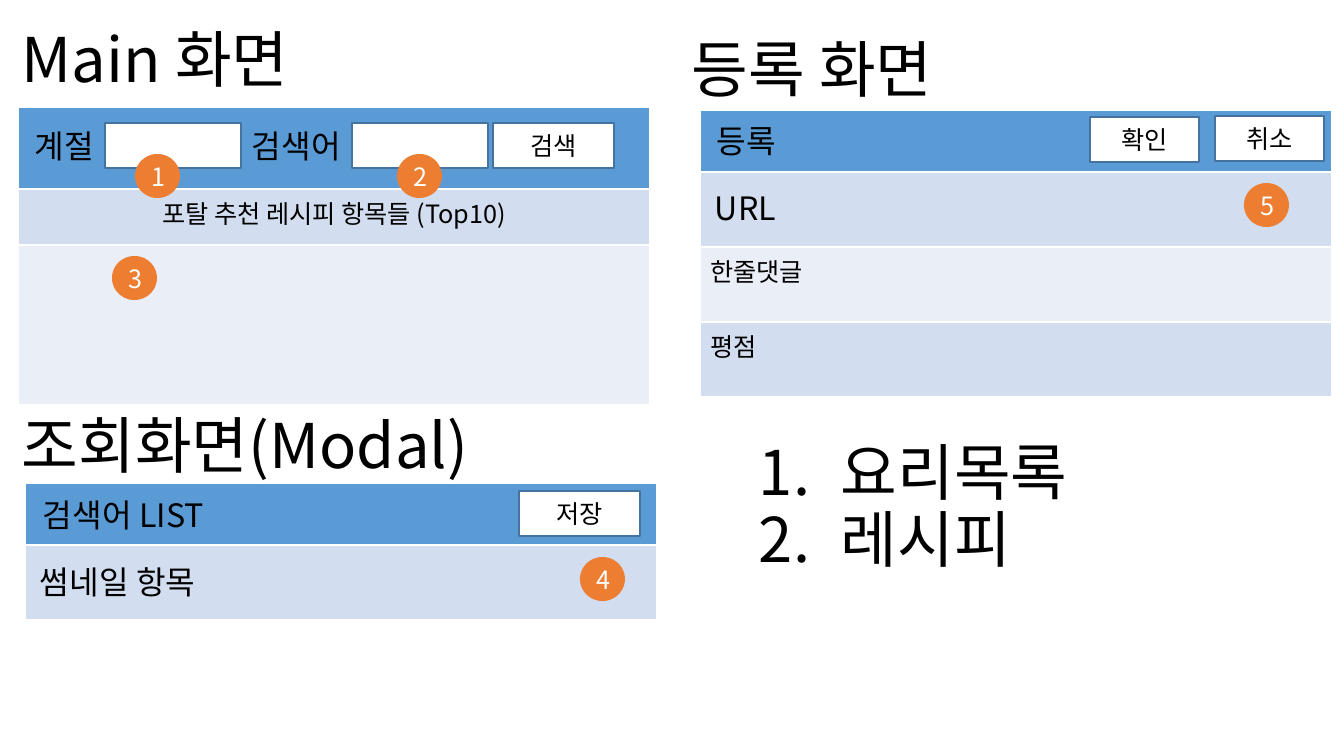
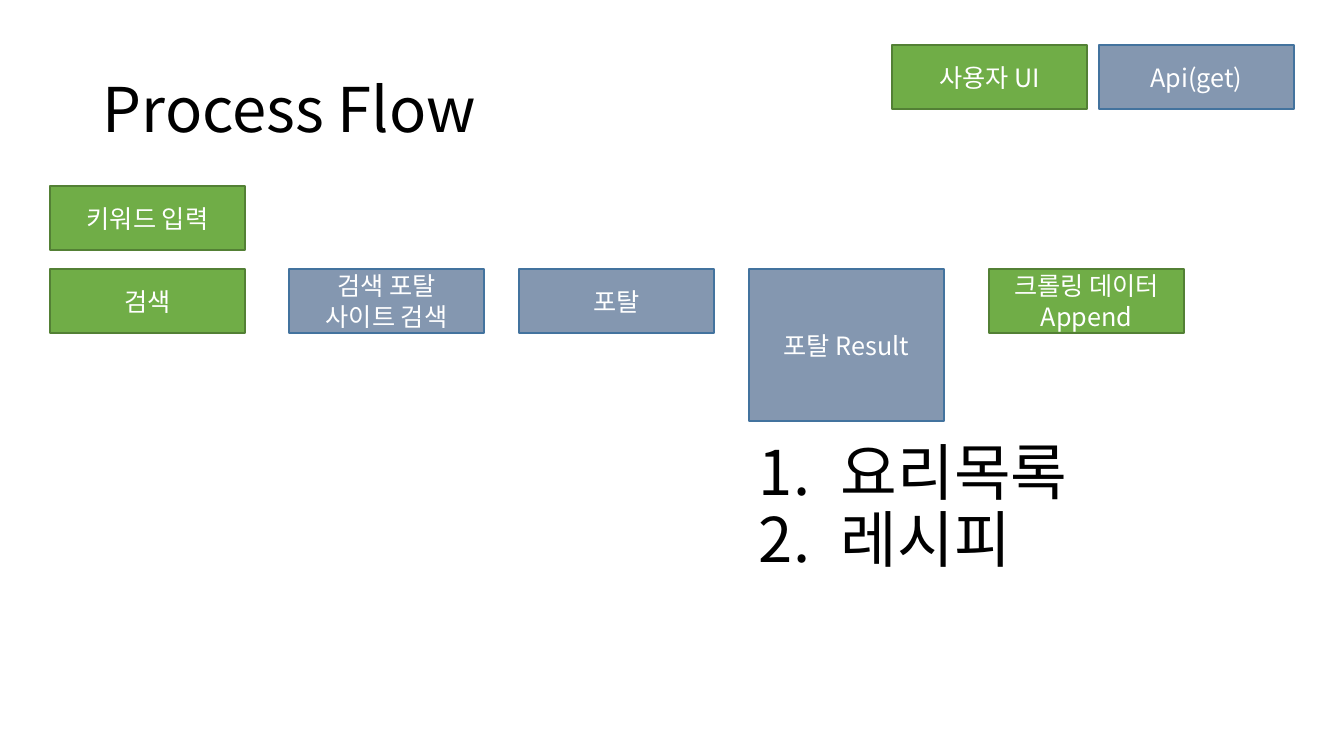
from lxml.etree import SubElement
from pptx import Presentation
from pptx.dml.color import RGBColor
from pptx.enum.shapes import MSO_SHAPE as SHAPE
from pptx.enum.text import MSO_ANCHOR as ANCHOR, PP_ALIGN as ALIGN
from pptx.oxml.ns import qn
from pptx.util import Emu, Pt

PX = 9071  # EMU in one pixel, at 100.8 pixels to the inch
FONT = "Noto Sans CJK KR"
WHITE, BLACK = "FFFFFF", "000000"
BLUE, PALE, PALER = "5B9BD5", "D2DEEF", "EAEFF7"
ORANGE, GREEN, SLATE = "ED7D31", "70AD47", "8497B0"
BLUE_EDGE, GREEN_EDGE = "43739E", "538035"
TITLE, LABEL, BODY = 44, 23, 18
rgb = RGBColor.from_string


def write(tf, lines, size, color, align=ALIGN.LEFT, spacing=None, numbered=False):
    """Fill a text frame with one paragraph for each line."""
    for i, line in enumerate(lines):
        p = tf.paragraphs[0] if i == 0 else tf.add_paragraph()
        p.alignment, p.line_spacing = align, spacing
        if numbered:
            pPr = p._p.get_or_add_pPr()
            pPr.set("marL", str(82 * PX))
            pPr.set("indent", str(-82 * PX))
            SubElement(pPr, qn("a:buAutoNum"), type="arabicPeriod")
        r = p.add_run()
        r.text = line
        r.font.size, r.font.name = Pt(size), FONT
        r.font.color.rgb = rgb(color)
        SubElement(r._r.get_or_add_rPr(), qn("a:ea"), typeface=FONT)


def add_box(s, area, lines, size=BODY, color=BLACK, fill=None, line=None,
            kind=SHAPE.RECTANGLE, numbered=False):
    """Add a filled, centred shape, or a left-aligned text box without fill."""
    area = [Emu(v * PX) for v in area]
    if fill:
        sp = s.shapes.add_shape(kind, *area)
        sp.shadow.inherit = False
        sp.fill.solid()
        sp.fill.fore_color.rgb = rgb(fill)
        if line:
            sp.line.color.rgb, sp.line.width = rgb(line), Pt(1)
        else:
            sp.line.fill.background()
    else:
        sp = s.shapes.add_textbox(*area)
    tf = sp.text_frame
    tf.word_wrap, tf.vertical_anchor = True, ANCHOR.MIDDLE
    write(tf, lines, size, color, ALIGN.CENTER if fill else ALIGN.LEFT,
          None if fill else 0.9, numbered)


prs = Presentation()
prs.slide_width, prs.slide_height = Emu(1344 * PX), Emu(756 * PX)
blank = prs.slide_layouts[6]
steps = ["요리목록", "레시피"]

# Screen mock-ups
s = prs.slides.add_slide(blank)
panels = [
    (18, 107, [(82, BLUE, "", None),
               (56, PALE, "포탈 추천 레시피 항목들 (Top10)", ALIGN.CENTER),
               (160, PALER, "", None)]),
    (25, 483, [(62, BLUE, "", None), (75, PALE, "", None)]),
    (700, 110, [(62, BLUE, "", None), (75, PALE, "", None),
                (75, PALER, "한줄댓글", ALIGN.LEFT),
                (75, PALE, "평점", ALIGN.LEFT)]),
]
for x, y, rows in panels:
    height = sum(row[0] for row in rows)
    table = s.shapes.add_table(len(rows), 1, Emu(x * PX), Emu(y * PX),
                               Emu(632 * PX), Emu(height * PX)).table
    for i, (h, fill, text, align) in enumerate(rows):
        table.rows[i].height = Emu(h * PX)
        cell = table.cell(i, 0)
        cell.fill.solid()
        cell.fill.fore_color.rgb = rgb(fill)
        if text:
            write(cell.text_frame, [text], BODY, BLACK, align)

for x, y, text in [(12, 2, "Main 화면"), (12, 388, "조회화면(Modal)"),
                   (682, 12, "등록 화면")]:
    add_box(s, (x, y, 499, 121), [text], TITLE)

for x, y, w, text in [(105, 123, 136, ""), (352, 123, 136, ""),
                      (493, 123, 121, "검색"), (519, 491, 121, "저장"),
                      (1090, 117, 109, "확인"), (1215, 116, 109, "취소")]:
    add_box(s, (x, y, w, 45), [text] if text else [], fill=WHITE, line=BLUE_EDGE)

for x, y, text in [(25, 108, "계절"), (242, 108, "검색어"),
                   (33, 477, "검색어 LIST"), (30, 544, "썸네일 항목"),
                   (707, 103, "등록"), (705, 170, "URL")]:
    add_box(s, (x, y, 300, 81), [text], LABEL)

badges = [(135, 154), (397, 154), (112, 256), (580, 557), (1244, 183)]
for number, (x, y) in enumerate(badges, 1):
    add_box(s, (x, y, 45, 44), [str(number)], color=WHITE, fill=ORANGE,
            kind=SHAPE.OVAL)

add_box(s, (749, 436, 553, 146), steps, TITLE, numbered=True)

# Process flow
s = prs.slides.add_slide(blank)
add_box(s, (93, 40, 1159, 146), ["Process Flow"], TITLE)
edges = {GREEN: GREEN_EDGE, SLATE: BLUE_EDGE}
for x, y, h, fill, lines in [
    (50, 186, 64, GREEN, ["키워드 입력"]),
    (50, 269, 64, GREEN, ["검색"]),
    (289, 269, 64, SLATE, ["검색 포탈", "사이트 검색"]),
    (519, 269, 64, SLATE, ["포탈"]),
    (749, 269, 152, SLATE, ["포탈 Result"]),
    (989, 269, 64, GREEN, ["크롤링 데이터", "Append"]),
    (892, 45, 64, GREEN, ["사용자 UI"]),
    (1099, 45, 64, SLATE, ["Api(get)"]),
]:
    add_box(s, (x, y, 195, h), lines, color=WHITE, fill=fill, line=edges[fill])
add_box(s, (749, 436, 1159, 146), steps, TITLE, numbered=True)

prs.save("out.pptx")
